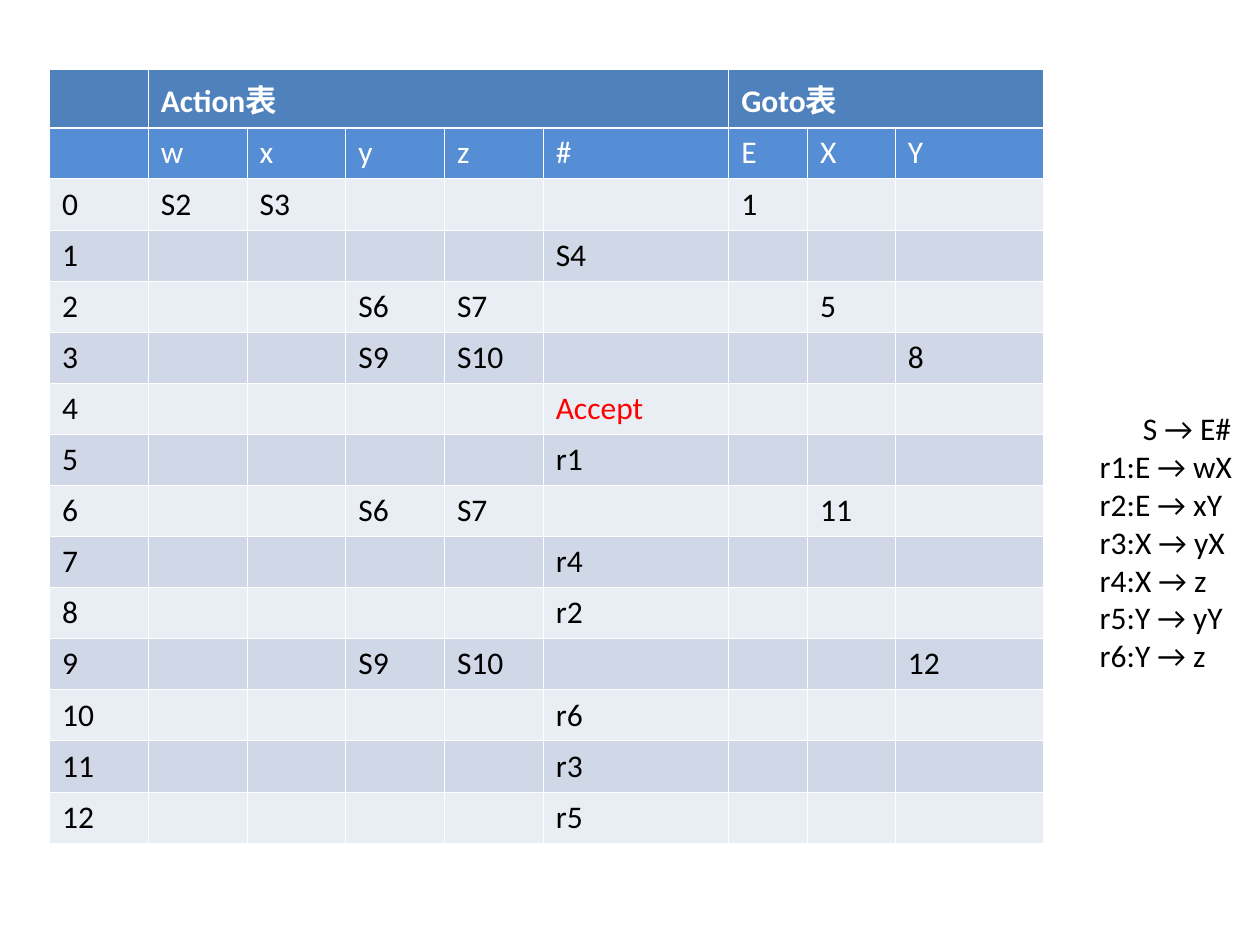
from dataclasses import dataclass

from lxml import etree
from pptx import Presentation
from pptx.dml.color import RGBColor
from pptx.enum.text import MSO_AUTO_SIZE
from pptx.oxml.ns import qn
from pptx.util import Cm, Pt

FIT_SHAPE = MSO_AUTO_SIZE.SHAPE_TO_FIT_TEXT


@dataclass(frozen=True)
class Theme:
    font: str = "Calibri"
    size: float = 18
    text: str = "000000"
    accept: str = "FF0000"
    white: str = "FFFFFF"
    header: str = "4F81BD"
    symbols: str = "558ED5"
    bands: tuple = ("E9EDF4", "D0D8E8")
    thin_line: float = 0.45
    header_line: float = 1.47


THEME = Theme()

SYMBOLS = ["", "w", "x", "y", "z", "#", "E", "X", "Y"]
COLUMN_WIDTHS = [1.99] * 5 + [3.74, 1.59, 1.77, 2.98]
ROW_HEIGHT = 1.02
GROUPS = [("Action表", 1, 5), ("Goto表", 6, 8)]

# One entry per parser state: the filled columns and their values
STATES = [
    {"w": "S2", "x": "S3", "E": "1"},
    {"#": "S4"},
    {"y": "S6", "z": "S7", "X": "5"},
    {"y": "S9", "z": "S10", "Y": "8"},
    {"#": "Accept"},
    {"#": "r1"},
    {"y": "S6", "z": "S7", "X": "11"},
    {"#": "r4"},
    {"#": "r2"},
    {"y": "S9", "z": "S10", "Y": "12"},
    {"#": "r6"},
    {"#": "r3"},
    {"#": "r5"},
]

START_RULE = "S → E#"
RULES = ["E → wX", "E → xY", "X → yX", "X → z", "Y → yY", "Y → z"]


def format_runs(paragraph, color, bold=False):
    for run in paragraph.runs:
        run.font.name = THEME.font
        run.font.size = Pt(THEME.size)
        run.font.bold = bold
        run.font.color.rgb = RGBColor.from_string(color)


def set_borders(cell, top, bottom):
    """Draw white cell borders; top and bottom are widths in points."""
    properties = cell._tc.get_or_add_tcPr()
    widths = {"a:lnL": THEME.thin_line, "a:lnR": THEME.thin_line,
              "a:lnT": top, "a:lnB": bottom}
    for tag, width in widths.items():
        line = etree.SubElement(properties, qn(tag), w=str(Pt(width)))
        fill = etree.SubElement(line, qn("a:solidFill"))
        etree.SubElement(fill, qn("a:srgbClr"), val=THEME.white)


def style_row(table, row, fill, color, bold=False):
    top = THEME.header_line if row == 1 else THEME.thin_line
    bottom = THEME.header_line if row == 0 else THEME.thin_line
    for cell in table.rows[row].cells:
        set_borders(cell, top, bottom)
        cell.fill.solid()
        cell.fill.fore_color.rgb = RGBColor.from_string(fill)
        text_color = THEME.accept if cell.text == "Accept" else color
        format_runs(cell.text_frame.paragraphs[0], text_color, bold)


def fill_row(table, row, values):
    for column, value in enumerate(values):
        table.cell(row, column).text_frame.text = value


def add_parsing_table(slide):
    row_count = len(STATES) + 2
    table = slide.shapes.add_table(
        row_count, len(SYMBOLS), Cm(1), Cm(1.4),
        Cm(sum(COLUMN_WIDTHS)), Cm(ROW_HEIGHT * row_count)).table
    table.first_row = False
    table.horz_banding = False
    for column, width in zip(table.columns, COLUMN_WIDTHS):
        column.width = Cm(width)
    for row in table.rows:
        row.height = Cm(ROW_HEIGHT)

    for title, first, last in GROUPS:
        table.cell(0, first).merge(table.cell(0, last))
        table.cell(0, first).text_frame.text = title
    style_row(table, 0, THEME.header, THEME.white, bold=True)

    fill_row(table, 1, SYMBOLS)
    style_row(table, 1, THEME.symbols, THEME.white)

    for state, actions in enumerate(STATES):
        row = state + 2
        values = [actions.get(symbol, "") for symbol in SYMBOLS[1:]]
        fill_row(table, row, [str(state)] + values)
        style_row(table, row, THEME.bands[state % 2], THEME.text)


def add_grammar(slide):
    box = slide.shapes.add_textbox(Cm(8.13 * 2.54), Cm(8.13), Cm(5.77), Cm(5.59))
    text_frame = box.text_frame
    text_frame.word_wrap = True
    text_frame.auto_size = FIT_SHAPE
    numbered = [f"r{number}:{rule}" for number, rule in enumerate(RULES, 1)]
    text_frame.text = "\n".join([START_RULE] + numbered)
    for paragraph in text_frame.paragraphs:
        paragraph.level = 1
        paragraph._p.get_or_add_pPr().set("marL", str(Cm(1.27)))
        format_runs(paragraph, THEME.text)
    # The start rule has no number, so it is indented past the labels
    text_frame.paragraphs[0]._p.get_or_add_pPr().set("indent", str(Cm(0.87)))


def main():
    presentation = Presentation()
    presentation.slide_width = Cm(25.4)
    presentation.slide_height = Cm(19.05)
    blank_layout = presentation.slide_layouts[6]
    slide = presentation.slides.add_slide(blank_layout)
    add_parsing_table(slide)
    add_grammar(slide)
    presentation.save("out.pptx")


if __name__ == "__main__":
    main()
